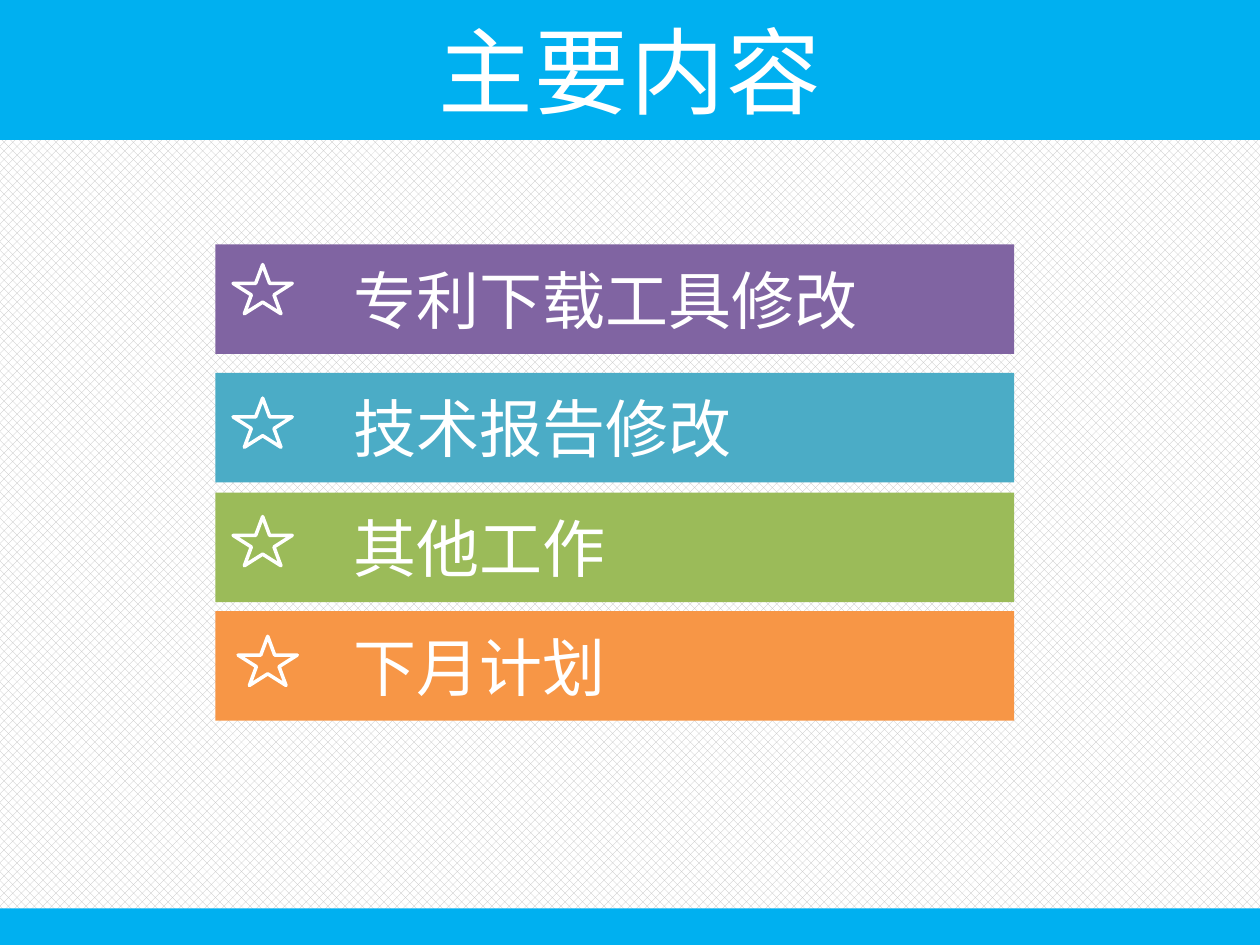
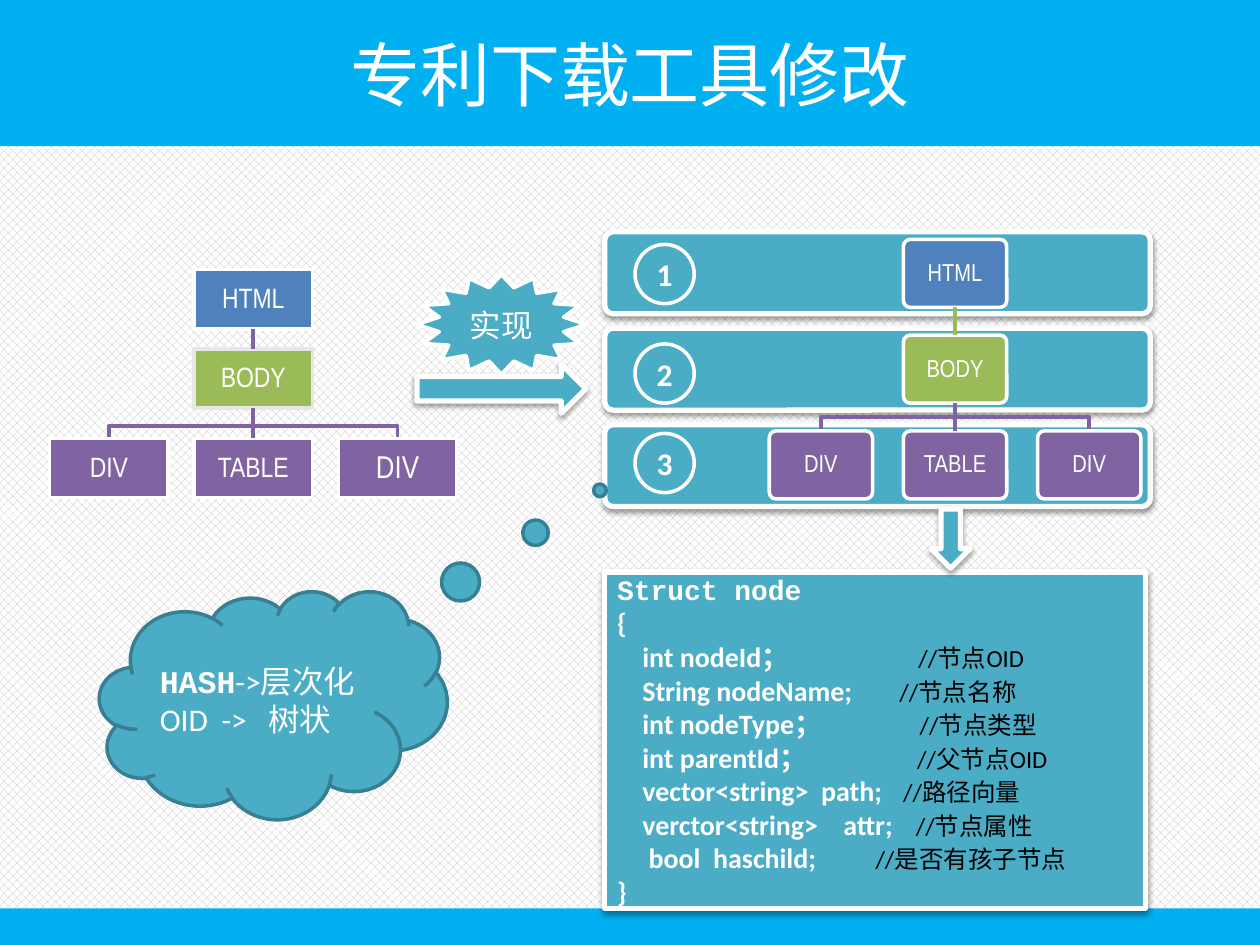
from dataclasses import dataclass

import lxml.etree
import pptx
import pptx.dml.color
import pptx.enum.dml
import pptx.enum.shapes
import pptx.enum.text
import pptx.oxml.ns
import pptx.util

PRESET = pptx.enum.shapes.MSO_SHAPE
ALIGN = pptx.enum.text.PP_ALIGN
Inches = pptx.util.Inches
Pt = pptx.util.Pt


@dataclass(frozen=True)
class Theme:
    sky: str = "00B0F0"
    white: str = "FFFFFF"
    black: str = "000000"
    hatch: str = "BFBFBF"
    pale: str = "E7E7E7"
    blue: str = "4F81BD"
    purple: str = "8064A2"
    teal: str = "4BACC6"
    dark_teal: str = "377F92"
    green: str = "9BBB59"
    orange: str = "F79646"
    cjk: str = "Noto Sans CJK JP"
    body: str = "Calibri"
    narrow: str = "Arial Narrow"
    mono: str = "Courier New"
    agenda_title: int = 54
    topic_title: int = 40
    agenda: int = 36
    label: int = 18
    code: int = 16
    comment: int = 14


@dataclass(frozen=True)
class Tree:
    """A root, one child and three leaves, on columns `pitch` apart."""
    center: float
    pitch: float
    rows: tuple
    box: tuple
    preset: int
    bus: float
    root_link: str
    child_line: str
    sizes: tuple
    inset: float


THEME = Theme()
WIDTH, HEIGHT = 10, 7.5


def rgb(color):
    return pptx.dml.color.RGBColor.from_string(color)


def sub(parent, tag, **attributes):
    child = lxml.etree.SubElement(parent, pptx.oxml.ns.qn(tag))
    for name, value in attributes.items():
        child.set(name, str(value))
    return child


def paint(shape, fill=None, line=None, weight=2):
    shape.shadow.inherit = False
    if fill:
        shape.fill.solid()
        shape.fill.fore_color.rgb = rgb(fill)
    else:
        shape.fill.background()
    if line:
        shape.line.color.rgb = rgb(line)
        shape.line.width = Pt(weight)
    else:
        shape.line.fill.background()


def add_box(slide, preset, at, fill, line=None, weight=2, adjust=()):
    shape = slide.shapes.add_shape(preset, *map(Inches, at))
    for index, value in enumerate(adjust):
        shape.adjustments[index] = value
    paint(shape, fill, line, weight)
    return shape


def add_raised(slide, preset, at, adjust=()):
    """Teal shape with a thick white edge and a soft shadow below."""
    shape = add_box(slide, preset, at, THEME.teal, THEME.white, 3, adjust)
    effects = shape._element.spPr.find(pptx.oxml.ns.qn("a:effectLst"))
    shadow = sub(effects, "a:outerShdw", blurRad=Pt(3.1), dist=Pt(1.6),
                 dir=5400000, rotWithShape=0)
    sub(sub(shadow, "a:srgbClr", val=THEME.black), "a:alpha", val=38000)
    return shape


def add_run(paragraph, text, size, font=THEME.body, color=THEME.white, bold=False):
    run = paragraph.add_run()
    run.text = text
    run.font.size = Pt(size)
    run.font.bold = bold
    run.font.color.rgb = rgb(color)
    run.font.name = font
    sub(run._r.get_or_add_rPr(), "a:ea", typeface=THEME.cjk)
    return run


def set_tabs(paragraph, *stops):
    tabs = sub(paragraph._p.get_or_add_pPr(), "a:tabLst")
    for stop in stops:
        sub(tabs, "a:tab", pos=Inches(stop), algn="l")


def open_text(shape, align=ALIGN.LEFT, inset=None):
    """Prepare a shape's text frame and return its first paragraph."""
    frame = shape.text_frame
    frame.word_wrap = True
    frame.auto_size = pptx.enum.text.MSO_AUTO_SIZE.NONE
    frame.vertical_anchor = pptx.enum.text.MSO_ANCHOR.MIDDLE
    if inset is not None:
        frame.margin_left = frame.margin_right = Inches(inset)
        frame.margin_top = frame.margin_bottom = Inches(inset)
    paragraph = frame.paragraphs[0]
    paragraph.alignment = align
    return paragraph


def add_slide(prs, title, size, band_height, edge=None, spacing=0):
    slide = prs.slides.add_slide(prs.slide_layouts[5])
    heading = slide.shapes.title
    heading.left = heading.top = 0
    heading.width, heading.height = Inches(WIDTH), Inches(band_height)
    paint(heading, THEME.sky, edge, 1.5)
    run = add_run(open_text(heading, ALIGN.CENTER), title, size, THEME.cjk)
    if spacing:
        run._r.get_or_add_rPr().set("spc", str(spacing * 100))
    add_box(slide, PRESET.RECTANGLE, (0, 7.21, WIDTH, 0.31), THEME.sky)
    return slide


def add_agenda_item(slide, text, color, top, star_left, star_top):
    bar = add_box(slide, PRESET.RECTANGLE, (1.71, top, 6.34, 0.87), color)
    paragraph = open_text(bar)
    set_tabs(paragraph, 1)
    add_run(paragraph, "\t" + text, THEME.agenda, THEME.cjk)
    add_box(slide, PRESET.STAR_5_POINT, (star_left, star_top, 0.47, 0.39),
            color, THEME.white)


def add_node(slide, tree, column, row, text, color, size, line=THEME.white):
    width, height = tree.box
    left = tree.center + column * tree.pitch - width / 2
    adjust = (0.1,) if tree.preset == PRESET.ROUNDED_RECTANGLE else ()
    node = add_box(slide, tree.preset, (left, tree.rows[row], width, height),
                   color, line, adjust=adjust)
    paragraph = open_text(node, ALIGN.CENTER, tree.inset)
    paragraph.line_spacing = 0.9
    add_run(paragraph, text, size, THEME.narrow)
    return node


def link_down(slide, upper, lower, color):
    link = slide.shapes.add_connector(
        pptx.enum.shapes.MSO_CONNECTOR.STRAIGHT, 0, 0, 0, 0)
    link.begin_connect(upper, 2)
    link.end_connect(lower, 0)
    link.line.color.rgb = rgb(color)
    link.line.width = Pt(2)
    sub(link._element.spPr, "a:effectLst")


def add_branch(slide, tree, column):
    """Bent line from the child, along the bus, down to a side leaf."""
    leaf_x = tree.center + column * tree.pitch
    route = [(tree.center, tree.rows[1] + tree.box[1]), (tree.center, tree.bus),
             (leaf_x, tree.bus), (leaf_x, tree.rows[2])]
    points = [(Inches(x), Inches(y)) for x, y in route]
    builder = slide.shapes.build_freeform(*points[0])
    builder.add_line_segments(points[1:], close=False)
    paint(builder.convert_to_shape(), line=THEME.purple)


def add_tree(slide, tree):
    for column in (-1, 1):
        add_branch(slide, tree, column)
    root = add_node(slide, tree, 0, 0, "HTML", THEME.blue, tree.sizes[0])
    child = add_node(slide, tree, 0, 1, "BODY", THEME.green, tree.sizes[0],
                     tree.child_line)
    leaves = [add_node(slide, tree, column, 2, text, THEME.purple, size)
              for column, text, size in zip((-1, 0, 1), ("DIV", "TABLE", "DIV"),
                                            tree.sizes)]
    link_down(slide, root, child, tree.root_link)
    link_down(slide, child, leaves[1], THEME.purple)


def add_level(slide, number, top):
    badge = add_box(slide, PRESET.FLOWCHART_CONNECTOR, (5.04, top, 0.47, 0.47),
                    THEME.teal, THEME.white)
    # the digit needs the whole circle
    add_run(open_text(badge, ALIGN.CENTER, 0), str(number), THEME.label, bold=True)


def add_struct(slide, at, fields):
    """Code listing: each field is code, its comment and the comment's tab stop."""
    listing = add_raised(slide, PRESET.RECTANGLE, at)
    add_run(open_text(listing), "Struct node", THEME.code, THEME.mono, bold=True)

    def new_line(code):
        paragraph = listing.text_frame.add_paragraph()
        paragraph.alignment = ALIGN.LEFT
        add_run(paragraph, code, THEME.code, bold=True)
        return paragraph

    new_line("{")
    for code, comment, stop in fields:
        paragraph = new_line(code + "\t")
        set_tabs(paragraph, stop)
        add_run(paragraph, comment, THEME.comment, color=THEME.black)
    new_line("}")


def add_cloud(slide):
    cloud = add_box(slide, PRESET.CLOUD_CALLOUT, (0.79, 4.69, 2.76, 1.81),
                    THEME.teal, THEME.dark_teal, adjust=(0.939, -0.941))
    hashing = open_text(cloud)
    add_run(hashing, "HASH", THEME.label, THEME.mono, bold=True)
    add_run(hashing, "->层次化", THEME.label)
    linking = cloud.text_frame.add_paragraph()
    linking.alignment = ALIGN.LEFT
    set_tabs(linking, 0.49, 0.86)
    add_run(linking, "OID\t->\t树状", THEME.label)


def build_agenda(prs):
    slide = add_slide(prs, "主要内容", THEME.agenda_title, 1.1, THEME.sky, 1)
    for item in (("专利下载工具修改", THEME.purple, 1.94, 1.85, 2.1),
                 ("技术报告修改", THEME.teal, 2.96, 1.85, 3.16),
                 ("其他工作", THEME.green, 3.91, 1.85, 4.1),
                 ("下月计划", THEME.orange, 4.85, 1.89, 5.05)):
        add_agenda_item(slide, *item)


def build_tool_changes(prs):
    slide = add_slide(prs, "专利下载工具修改", THEME.topic_title, 1.16)
    add_tree(slide, Tree(2.01, 1.145, (2.14, 2.77, 3.48), (0.94, 0.47),
                         PRESET.RECTANGLE, 3.38, THEME.purple, THEME.pale,
                         (16, 16, 18), 0.01))
    for row in reversed(range(3)):
        add_raised(slide, PRESET.ROUNDED_RECTANGLE,
                   (4.8, 1.84 + row * 0.765, 4.33, 0.65), (0.1,))
    add_tree(slide, Tree(7.58, 1.065, (1.9, 2.66, 3.42), (0.82, 0.54),
                         PRESET.ROUNDED_RECTANGLE, 3.31, THEME.green, THEME.white,
                         (14, 14, 14), 0.06))
    add_struct(slide, (4.8, 4.54, 4.29, 2.67), (
        ("    int nodeId；", "//节点OID", 2.39),
        ("    String nodeName;", "//节点名称", 2.24),
        ("    int nodeType；", "//节点类型", 2.4),
        ("    int parentId；", "//父节点OID", 2.38),
        ("    vector<string>  path;", "//路径向量", 2.27),
        ("    verctor<string>    attr;", "//节点属性", 2.37),
        ("     bool  haschild;", "//是否有孩子节点", 2.05)))
    add_raised(slide, PRESET.RIGHT_ARROW, (3.31, 2.89, 1.34, 0.39))
    add_raised(slide, PRESET.DOWN_ARROW, (7.39, 4.04, 0.31, 0.47))
    for number, top in enumerate((1.94, 2.73, 3.44), start=1):
        add_level(slide, number, top)
    add_cloud(slide)
    burst = add_box(slide, PRESET.STAR_16_POINT, (3.31, 2.18, 1.34, 0.79),
                    THEME.teal, THEME.white)
    add_run(open_text(burst, ALIGN.CENTER), "实现", THEME.label)


def main():
    prs = pptx.Presentation()
    prs.slide_width, prs.slide_height = Inches(WIDTH), Inches(HEIGHT)
    backdrop = prs.slide_master.background.fill
    backdrop.patterned()
    backdrop.pattern = pptx.enum.dml.MSO_PATTERN.PERCENT_50
    backdrop.fore_color.rgb = rgb(THEME.hatch)
    backdrop.back_color.rgb = rgb(THEME.white)
    build_agenda(prs)
    build_tool_changes(prs)
    prs.save("out.pptx")


if __name__ == "__main__":
    main()
